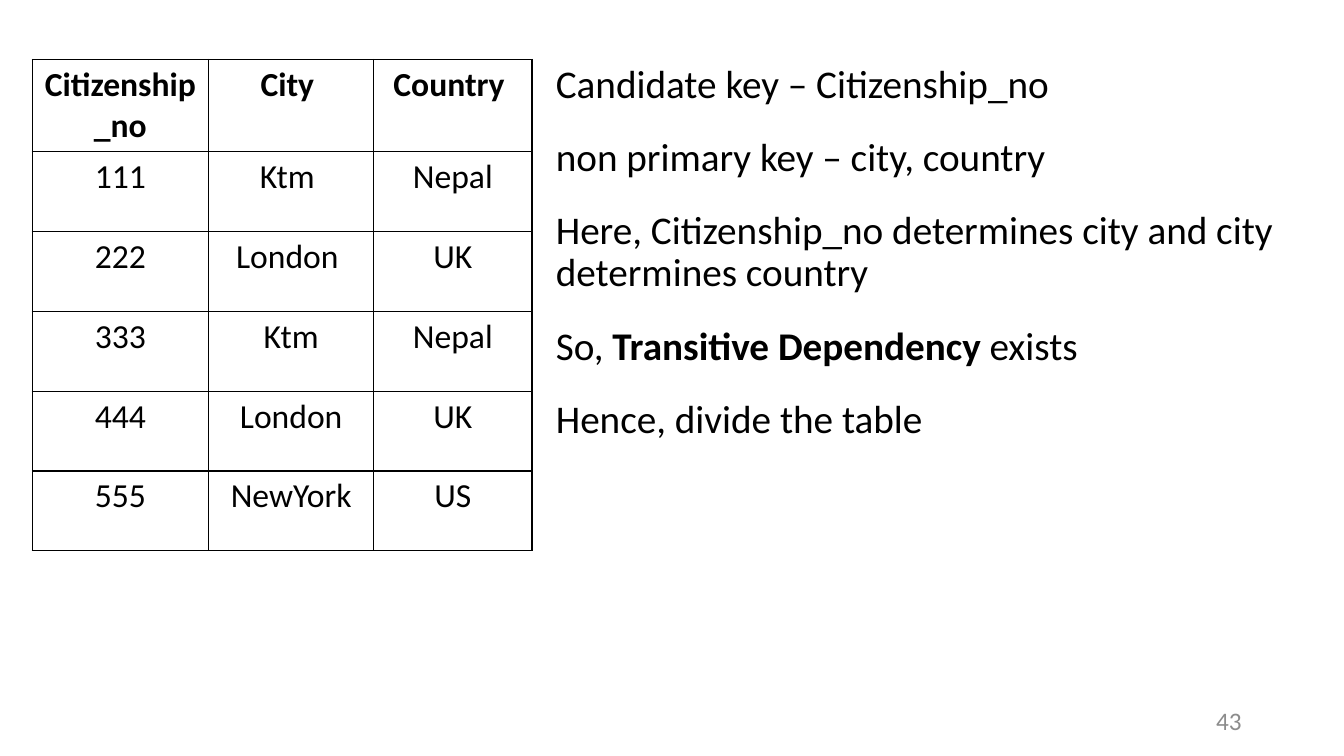
import dataclasses

import pptx
import pptx.dml.color
import pptx.enum.text
import pptx.oxml
import pptx.oxml.ns
import pptx.util

Pt = pptx.util.Pt
Align = pptx.enum.text.PP_ALIGN
Anchor = pptx.enum.text.MSO_ANCHOR

FONT = "Calibri"
COLORS = {"text": "000000", "border": "000000", "cell": "FFFFFF", "number": "8C8C8C"}

COLUMN_WIDTHS = (126, 118, 113)
ROW_HEIGHTS = (66, 57, 57, 57, 57, 57)
CITIZENS = (
    ("Citizenship_no", "City ", "Country "),
    ("111", "Ktm ", "Nepal"),
    ("222", "London ", "UK"),
    ("333", "Ktm", "Nepal"),
    ("444", "London", "UK"),
    ("555", "NewYork", "US"),
)


@dataclasses.dataclass(frozen=True)
class Box:
    left: float
    top: float
    width: float
    height: float

    def lengths(self) -> tuple:
        return Pt(self.left), Pt(self.top), Pt(self.width), Pt(self.height)


@dataclasses.dataclass(frozen=True)
class Note:
    """A paragraph whose optional bold part stands between two plain parts."""
    before: str
    bold: str = ""
    after: str = ""


NOTES = (
    Note("Candidate key – Citizenship_no"),
    Note("non primary key – city, country"),
    Note("Here, Citizenship_no determines city and city determines country"),
    Note("So, ", "Transitive Dependency ", "exists"),
    Note("Hence, divide the table"),
)


def color(name: str) -> pptx.dml.color.RGBColor:
    return pptx.dml.color.RGBColor.from_string(COLORS[name])


def format_run(run, size: float, color_name: str = "text", bold: bool = False) -> None:
    run.font.name = FONT
    run.font.size = Pt(size)
    run.font.bold = bold
    run.font.color.rgb = color(color_name)


def add_borders(cell) -> None:
    properties = cell._tc.get_or_add_tcPr()
    namespace = pptx.oxml.ns.nsdecls("a")
    for position, side in enumerate(("lnL", "lnR", "lnT", "lnB")):
        line = pptx.oxml.parse_xml(
            f'<a:{side} {namespace} w="{Pt(1)}"><a:solidFill>'
            f'<a:srgbClr val="{COLORS["border"]}"/></a:solidFill></a:{side}>'
        )
        properties.insert(position, line)


def add_citizen_table(slide, box: Box) -> None:
    shape = slide.shapes.add_table(len(CITIZENS), len(COLUMN_WIDTHS), *box.lengths())
    table = shape.table
    table.first_row = False
    table.horz_banding = False
    for column, width in zip(table.columns, COLUMN_WIDTHS):
        column.width = Pt(width)
    for row_index, (row, height) in enumerate(zip(table.rows, ROW_HEIGHTS)):
        row.height = Pt(height)
        for cell, text in zip(row.cells, CITIZENS[row_index]):
            cell.fill.solid()
            cell.fill.fore_color.rgb = color("cell")
            add_borders(cell)
            cell.text_frame.text = text
            paragraph = cell.text_frame.paragraphs[0]
            paragraph.alignment = Align.CENTER
            format_run(paragraph.runs[0], 24, bold=row_index == 0)


def add_notes_text(slide, box: Box) -> None:
    text_frame = slide.shapes.add_textbox(*box.lengths()).text_frame
    text_frame.word_wrap = True
    for index, note in enumerate(NOTES):
        paragraph = text_frame.add_paragraph() if index else text_frame.paragraphs[0]
        paragraph.line_spacing = 0.9
        paragraph.space_before = Pt(10)
        paragraph.space_after = Pt(12)
        paragraph.text = note.before
        for part in filter(None, (note.bold, note.after)):
            paragraph.add_run().text = part
        for run in paragraph.runs:
            format_run(run, 28, bold=run.text == note.bold)


def add_slide_number(slide, box: Box) -> None:
    text_frame = slide.shapes.add_textbox(*box.lengths()).text_frame
    text_frame.word_wrap = True
    text_frame.vertical_anchor = Anchor.MIDDLE
    text_frame.text = "43"
    paragraph = text_frame.paragraphs[0]
    paragraph.alignment = Align.RIGHT
    format_run(paragraph.runs[0], 18, "number")


def main() -> None:
    presentation = pptx.Presentation()
    presentation.slide_width = Pt(960)
    presentation.slide_height = Pt(540)
    slide = presentation.slides.add_slide(presentation.slide_layouts[6])
    add_notes_text(slide, Box(390, 42.5, 562, 448))
    add_slide_number(slide, Box(678, 500.5, 216, 28.75))
    add_citizen_table(slide, Box(23, 42.5, sum(COLUMN_WIDTHS), sum(ROW_HEIGHTS)))
    presentation.save("out.pptx")


if __name__ == "__main__":
    main()
